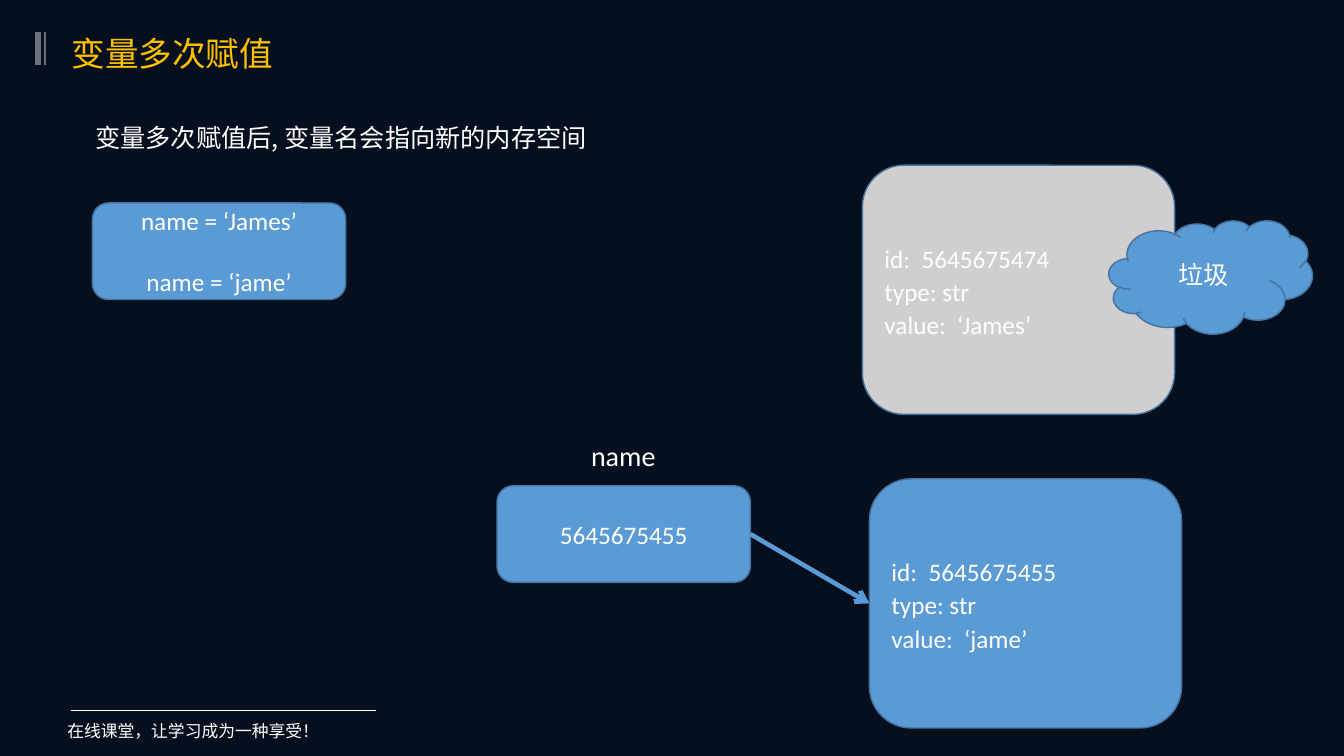
from lxml.etree import SubElement
from pptx import Presentation
from pptx.dml.color import RGBColor
from pptx.enum.shapes import MSO_CONNECTOR, MSO_SHAPE
from pptx.enum.text import MSO_ANCHOR, PP_ALIGN
from pptx.oxml.ns import qn
from pptx.util import Pt

COLORS = {
    "background": "060F1E",
    "text": "FFFFFF",
    "title": "FFC000",
    "marker": "6A727E",
    "blue": "5B9BD5",
    "outline": "43739E",
    "discarded": "D0CECE",
}
LATIN = "Calibri"
CHINESE = "Noto Sans CJK SC"
NAME_BOX = (181, 69)
OBJECT_BOX = (223, 178)


def rgb(name):
    return RGBColor.from_string(COLORS[name])


def write(tf, text, size=18, font=LATIN, color="text", align=PP_ALIGN.LEFT,
          anchor=MSO_ANCHOR.MIDDLE, wrap=True, spacing=1.0, gap=0):
    """Fill a text frame, one paragraph per line, with gap points between them."""
    tf.word_wrap = wrap
    tf.vertical_anchor = anchor
    for i, line in enumerate(text.split("\n")):
        p = tf.paragraphs[0] if i == 0 else tf.add_paragraph()
        p.alignment = align
        p.line_spacing = spacing
        p.space_before = Pt(gap if i else 0)
        r = p.add_run()
        r.text = line
        r.font.size = Pt(size)
        r.font.name = font
        r.font.color.rgb = rgb(color)
        SubElement(r._r.get_or_add_rPr(), qn("a:ea")).set("typeface", CHINESE)


def add_label(s, text, left, top, width, height, **fmt):
    box = s.shapes.add_textbox(Pt(left), Pt(top), Pt(width), Pt(height))
    write(box.text_frame, text, **fmt)


def add_box(s, text, left, top, size, kind=MSO_SHAPE.ROUNDED_RECTANGLE,
            fill="blue", **fmt):
    sp = s.shapes.add_shape(kind, Pt(left), Pt(top), *map(Pt, size))
    sp.shadow.inherit = False
    sp.fill.solid()
    sp.fill.fore_color.rgb = rgb(fill)
    sp.line.color.rgb = rgb("outline")
    sp.line.width = Pt(1)
    write(sp.text_frame, text, **fmt)
    return sp


def add_line(s, x1, y1, x2, y2, color, width):
    line = s.shapes.add_connector(
        MSO_CONNECTOR.STRAIGHT, Pt(x1), Pt(y1), Pt(x2), Pt(y2))
    line.line.color.rgb = rgb(color)
    line.line.width = Pt(width)
    SubElement(line._element.spPr, qn("a:effectLst"))
    return line


def add_arrow(s, source, target):
    """Point from the right side of source to the left side of target."""
    arrow = add_line(s, 0, 0, 0, 0, "blue", 3.25)
    arrow.begin_connect(source, 3)
    arrow.end_connect(target, 1)
    SubElement(arrow.line._get_or_add_ln(), qn("a:tailEnd")).set("type", "arrow")


def add_frame(s):
    """Draw the background, title marker and footer."""
    s.background.fill.solid()
    s.background.fill.fore_color.rgb = rgb("background")
    add_line(s, 27.4, 22.6, 27.4, 46.6, "marker", 4.5)
    add_line(s, 32.4, 22.8, 32.4, 46.3, "marker", 1.5)
    add_line(s, 50.5, 507.5, 268.5, 507.5, "text", 0.5)
    add_label(s, "在线课堂，让学习成为一种享受！", 41, 511, 287, 22,
              size=12, font=CHINESE)


def main():
    prs = Presentation()
    prs.slide_width, prs.slide_height = Pt(960), Pt(540)
    s = prs.slides.add_slide(prs.slide_layouts[6])
    add_frame(s)
    add_label(s, "变量多次赋值", 44, 14.5, 536, 47,
              size=24, font=CHINESE, color="title")
    add_label(s, "变量多次赋值后, 变量名会指向新的内存空间", 61, 81, 637, 34,
              font=CHINESE)

    add_box(s, "name = ‘James’\nname = ‘jame’", 66, 145, NAME_BOX,
            align=PP_ALIGN.CENTER, gap=22)
    add_label(s, "name", 415, 310, 60.5, 32, size=20, wrap=False,
              anchor=MSO_ANCHOR.TOP, align=PP_ALIGN.CENTER)
    name = add_box(s, "5645675455", 355, 347, NAME_BOX, align=PP_ALIGN.CENTER)

    add_box(s, "id:  5645675474\ntype: str\nvalue:  ‘James’", 616, 118,
            OBJECT_BOX, fill="discarded", spacing=1.1)
    current = add_box(s, "id:  5645675455\ntype: str\nvalue:  ‘jame’", 621, 342,
                      OBJECT_BOX, spacing=1.1)
    add_arrow(s, name, current)
    add_box(s, "垃圾", 792, 157.5, (145.5, 81), kind=MSO_SHAPE.CLOUD,
            align=PP_ALIGN.CENTER)
    prs.save("out.pptx")


if __name__ == "__main__":
    main()
